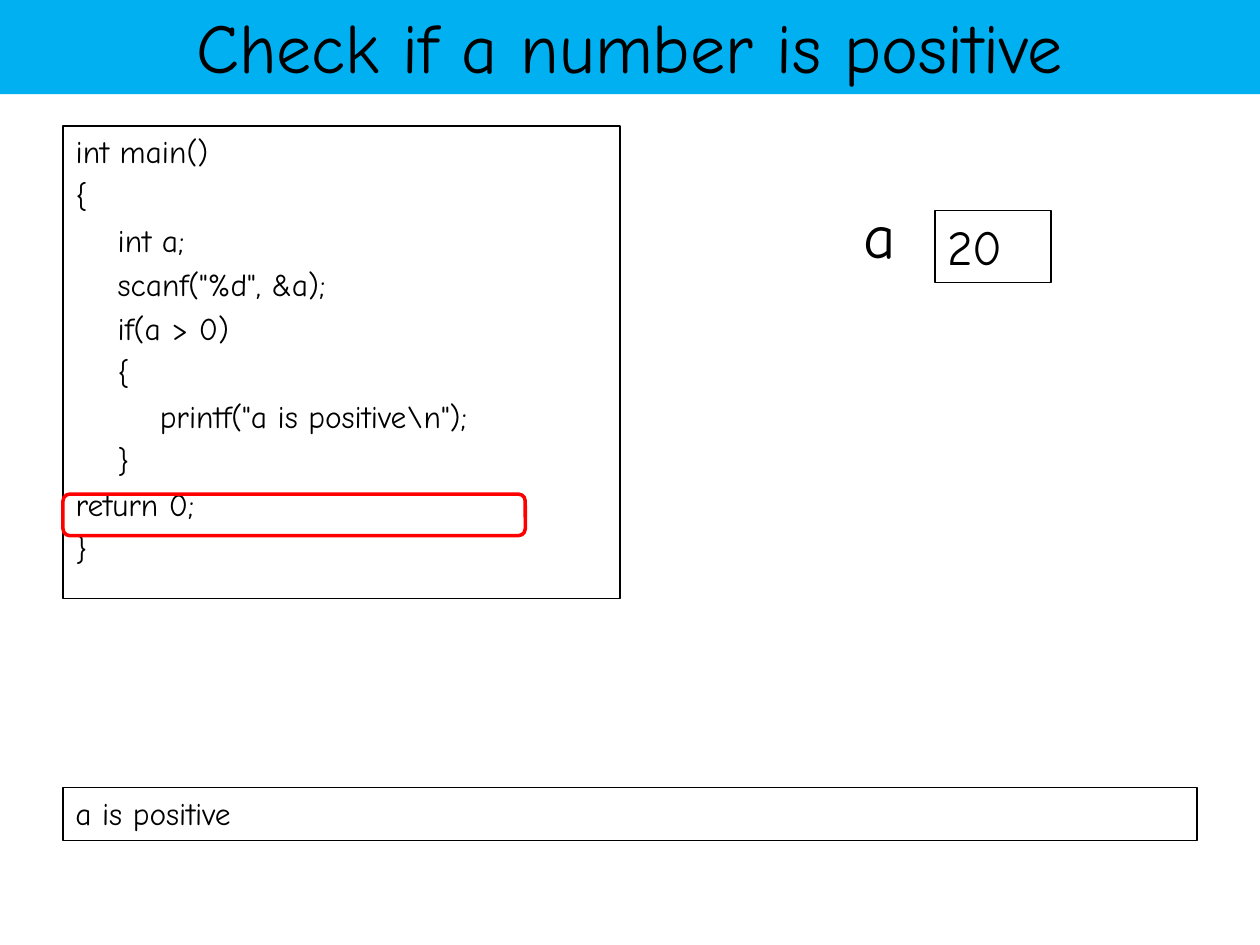
"""Build a slide that traces a C program checking for a positive number."""
from dataclasses import dataclass

from lxml import etree
from pptx import Presentation
from pptx.dml.color import RGBColor
from pptx.enum.shapes import MSO_SHAPE
from pptx.enum.text import MSO_ANCHOR, MSO_AUTO_SIZE, PP_ALIGN
from pptx.oxml.ns import qn
from pptx.util import Cm, Pt

RECTANGLE, ROUNDED = MSO_SHAPE.RECTANGLE, MSO_SHAPE.ROUNDED_RECTANGLE
TOP, MIDDLE = MSO_ANCHOR.TOP, MSO_ANCHOR.MIDDLE
LEFT, CENTER = PP_ALIGN.LEFT, PP_ALIGN.CENTER
NO_AUTOFIT = MSO_AUTO_SIZE.NONE


@dataclass(frozen=True)
class Theme:
    font: str = "Comic Neue"
    ink: RGBColor = RGBColor(0, 0, 0)
    banner: RGBColor = RGBColor(0x00, 0xB0, 0xF0)
    highlight: RGBColor = RGBColor(0xFF, 0, 0)
    title_size: float = 40
    label_size: float = 36
    value_size: float = 28
    code_size: float = 18
    outline_width: float = 0.75
    highlight_width: float = 2


@dataclass(frozen=True)
class Area:
    left: float
    top: float
    width: float
    height: float

    def lengths(self) -> tuple:
        return Cm(self.left), Cm(self.top), Cm(self.width), Cm(self.height)


@dataclass(frozen=True)
class Frame:
    area: Area
    text: str = ""
    size: float = 18
    color: RGBColor = RGBColor(0, 0, 0)
    line_width: float = 0.75
    preset: int = RECTANGLE


THEME = Theme()
TITLE_AREA = Area(-0.03, -0.08, 25.43, 1.98)
CODE_AREA = Area(1.27, 2.54, 11.23, 9.53)
LABEL_AREA = Area(17.15, 3.81, 1.27, 1.8)
CODE_INDENT = Cm(0.97)
CODE = r"""int main()
{
    int a;
    scanf("%d", &a);
    if(a > 0)
    {
        printf("a is positive\n");
    }
return 0;
}"""
FRAMES = (
    Frame(Area(1.27, 15.88, 22.86, 1.07), "a is positive", THEME.code_size),
    Frame(Area(1.27, 9.96, 9.32, 0.84), color=THEME.highlight,
          line_width=THEME.highlight_width, preset=ROUNDED),
    Frame(Area(18.85, 4.24, 2.34, 1.45), "20", THEME.value_size),
)


def write_text(box, text: str, *, size: float, align=LEFT, anchor=TOP,
               hanging: int = 0) -> None:
    frame = box.text_frame
    frame.word_wrap = True
    frame.auto_size = NO_AUTOFIT
    frame.vertical_anchor = anchor
    frame.text = text
    frame.paragraphs[0].space_before = Pt(0)
    for para in frame.paragraphs:
        para.alignment = align
        if hanging:
            properties = para._p.get_or_add_pPr()
            properties.set("marL", str(hanging))
            properties.set("indent", str(-hanging))
            etree.SubElement(properties, qn("a:buNone"))
        for span in para.runs:
            span.font.name = THEME.font
            span.font.size = Pt(size)
            span.font.color.rgb = THEME.ink


def place(box, area: Area) -> None:
    box.left, box.top, box.width, box.height = area.lengths()


def outline(box, color: RGBColor, width: float) -> None:
    box.line.color.rgb = color
    box.line.width = Pt(width)


def draw_frame(page, frame: Frame) -> None:
    box = page.shapes.add_shape(frame.preset, *frame.area.lengths())
    box.shadow.inherit = False
    box.fill.background()
    outline(box, frame.color, frame.line_width)
    if frame.text:
        write_text(box, frame.text, size=frame.size)


def main() -> None:
    deck = Presentation()
    deck.slide_width, deck.slide_height = Cm(25.4), Cm(19.05)
    page = deck.slides.add_slide(deck.slide_layouts[1])

    title = page.shapes.title
    place(title, TITLE_AREA)
    title.fill.solid()
    title.fill.fore_color.rgb = THEME.banner
    write_text(title, "Check if a number is positive", size=THEME.title_size,
               align=CENTER, anchor=MIDDLE)

    code = page.placeholders[1]
    place(code, CODE_AREA)
    outline(code, THEME.ink, THEME.outline_width)
    write_text(code, CODE, size=THEME.code_size, hanging=CODE_INDENT)

    label = page.shapes.add_textbox(*LABEL_AREA.lengths())
    write_text(label, "a", size=THEME.label_size)
    for frame in FRAMES:
        draw_frame(page, frame)

    deck.save("out.pptx")


if __name__ == "__main__":
    main()
